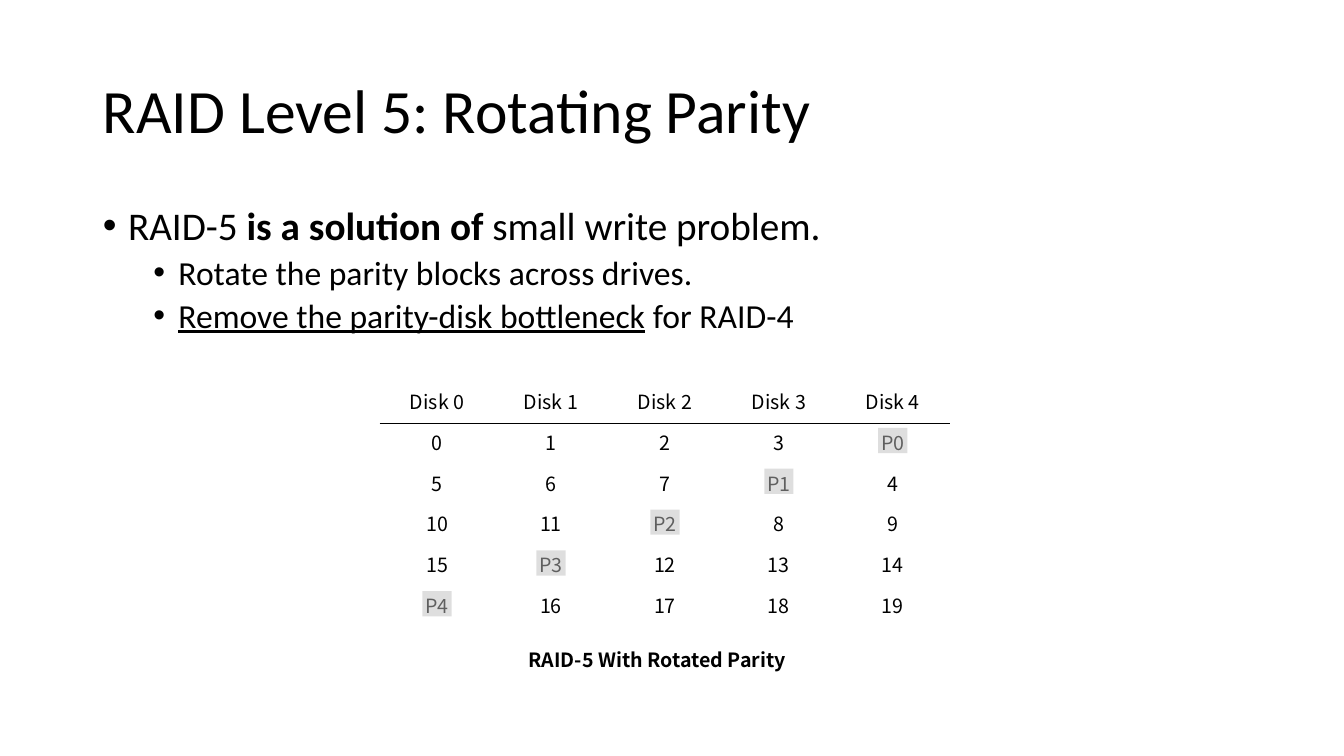
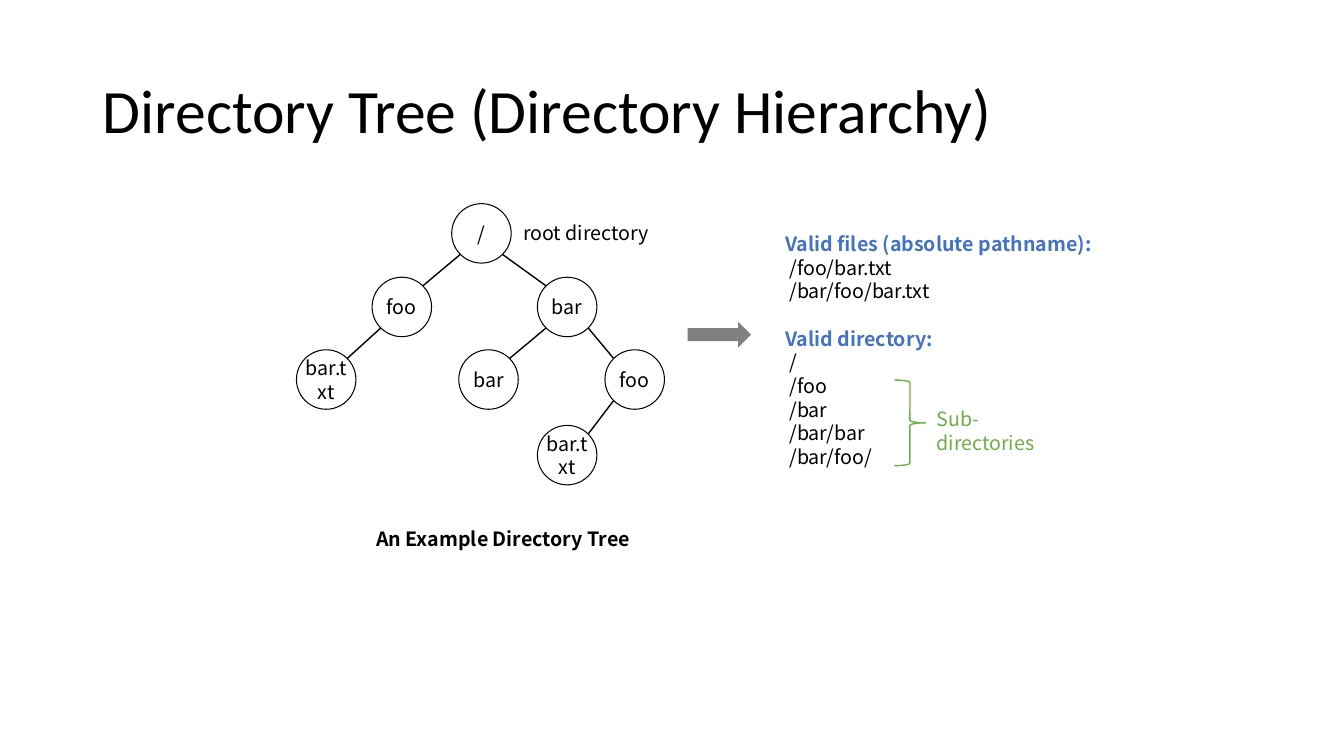
"""Build two lecture slides: rotating parity in RAID-5 and a directory tree."""
from dataclasses import dataclass

from lxml import etree
from pptx import Presentation
from pptx import util as u
from pptx.dml.color import RGBColor
from pptx.enum import shapes, text
from pptx.oxml.ns import qn


@dataclass(frozen=True)
class Theme:
    heading_font: str = "Calibri"
    label_font: str = "Noto Sans CJK KR"
    ink: str = "000000"
    paper: str = "FFFFFF"
    accent: str = "4472C4"
    subdir: str = "70AD47"
    arrow: str = "808080"
    parity: str = "BFBFBF"
    title_size: int = 44
    bullet_sizes: tuple = (28, 24)
    label_size: int = 14
    label_leading: float = 16.9


THEME = Theme()
WIDTH, HEIGHT = 13.33, 7.5
TITLE_AREA = (0.92, 0.4, 11.5, 1.45)
BODY_AREA = (0.92, 2, 11.5, 4.76)

RAID_TITLE = "RAID Level 5: Rotating Parity"
RAID_BULLETS = [
    (0, ["RAID-5 ", ("is a solution of", {"bold": True}), " small write problem."]),
    (1, ["Rotate the parity blocks across drives."]),
    (1, [("Remove the parity-disk bottleneck", {"underline": True}), " for RAID-4"]),
]
RAID_CAPTION = "RAID-5 With Rotated Parity"
STRIPES = [
    ["Disk 0", "Disk 1", "Disk 2", "Disk 3", "Disk 4"],
    ["0", "1", "2", "3", "P0"],
    ["5", "6", "7", "P1", "4"],
    ["10", "11", "P2", "8", "9"],
    ["15", "P3", "12", "13", "14"],
    ["P4", "16", "17", "18", "19"],
]
GRID_LEFT, GRID_TOP, COLUMN, ROW = 3.77, 3.8, 1.13, 0.405
PARITY_WIDTH, PARITY_HEIGHT, PARITY_DROP = 0.29, 0.25, 0.04

TREE_TITLE = "Directory Tree (Directory Hierarchy)"
TREE_CAPTION = "An Example Directory Tree"
NODE = 0.59
LEVEL_TOPS = [2.02, 2.75, 3.47, 4.22]
TREE = {
    "root": ("/", 4.48, 0, None),
    "foo": ("foo", 3.69, 1, "root"),
    "foo file": ("bar.txt", 2.94, 2, "foo"),
    "bar": ("bar", 5.33, 1, "root"),
    "bar foo": ("foo", 6, 2, "bar"),
    "bar bar": ("bar", 4.55, 2, "bar"),
    "bar foo file": ("bar.txt", 5.33, 3, "bar foo"),
}
LISTINGS = [
    ("Valid files (absolute pathname):", ["/foo/bar.txt", "/bar/foo/bar.txt"]),
    ("Valid directory:", ["/", "/foo", "/bar", "/bar/bar", "/bar/foo/"]),
]


def inches(*lengths):
    return [u.Inches(length) for length in lengths]


def colour(value):
    return RGBColor.from_string(value)


def write(paragraph, runs, font=THEME.label_font, size=THEME.label_size, color=THEME.ink,
          bold=False, align=text.PP_ALIGN.LEFT, leading=u.Pt(THEME.label_leading),
          before=0, indent=0, hanging=0, bullet=None):
    """Fill a paragraph with runs, each a string or a (string, format) pair."""
    paragraph.alignment, paragraph.line_spacing = align, leading
    paragraph.space_before = u.Pt(before)
    properties = paragraph._p.get_or_add_pPr()
    properties.set("marL", str(u.Inches(indent)))
    properties.set("indent", str(u.Inches(-hanging)))
    if bullet:
        etree.SubElement(properties, qn("a:buFont")).set("typeface", "Arial")
        etree.SubElement(properties, qn("a:buChar")).set("char", bullet)
    for part in [runs] if isinstance(runs, str) else runs:
        words, extra = (part, {}) if isinstance(part, str) else part
        run = paragraph.add_run()
        run.text = words
        run.font.name, run.font.size = font, u.Pt(size)
        run.font.color.rgb = colour(color)
        run.font.bold = extra.get("bold", bold)
        run.font.underline = extra.get("underline", False)


def next_paragraph(frame, index):
    return frame.add_paragraph() if index else frame.paragraphs[0]


def add_slide(deck, layout, title):
    slide = deck.slides.add_slide(deck.slide_layouts[layout])
    heading = slide.shapes.title
    place(heading, TITLE_AREA)
    heading.text_frame.vertical_anchor = text.MSO_ANCHOR.MIDDLE
    write(heading.text_frame.paragraphs[0], title, font=THEME.heading_font,
          size=THEME.title_size, leading=0.9)
    return slide


def place(placeholder, area):
    placeholder.left, placeholder.top, placeholder.width, placeholder.height = inches(*area)
    placeholder.text_frame.auto_size = text.MSO_AUTO_SIZE.NONE


def add_label(slide, area, lines):
    """Add a text box from (runs, format) lines."""
    frame = slide.shapes.add_textbox(*inches(*area)).text_frame
    frame.word_wrap = True
    frame.auto_size = text.MSO_AUTO_SIZE.SHAPE_TO_FIT_TEXT
    for index, (runs, style) in enumerate(lines):
        write(next_paragraph(frame, index), runs, **style)


def add_caption(slide, area, words):
    add_label(slide, area, [(words, {"bold": True, "align": text.PP_ALIGN.CENTER})])


def add_figure(slide, kind, area, fill=None, line=None, weight=0.75, alpha=None):
    figure = slide.shapes.add_shape(kind, *inches(*area))
    figure.shadow.inherit = False
    if fill:
        figure.fill.solid()
        figure.fill.fore_color.rgb = colour(fill)
    else:
        figure.fill.background()
    if line:
        figure.line.color.rgb, figure.line.width = colour(line), u.Pt(weight)
    else:
        figure.line.fill.background()
    if alpha:
        tint = figure.fill._xPr.find(".//" + qn("a:srgbClr"))
        etree.SubElement(tint, qn("a:alpha")).set("val", str(alpha * 1000))
    return figure


def add_rule(cell, side):
    """Draw a thin line on one side (lnT or lnB) of a table cell."""
    border = etree.Element(qn("a:" + side), w=str(u.Pt(0.75)))
    fill = etree.SubElement(border, qn("a:solidFill"))
    etree.SubElement(fill, qn("a:srgbClr")).set("val", THEME.ink)
    cell._tc.get_or_add_tcPr().insert(0, border)


def add_stripes(slide):
    rows, columns = len(STRIPES), len(STRIPES[0])
    table = slide.shapes.add_table(
        rows, columns, *inches(GRID_LEFT, GRID_TOP, COLUMN * columns, ROW * rows)).table
    table.first_row = table.horz_banding = False
    for column in table.columns:
        column.width = u.Inches(COLUMN)
    for r, blocks in enumerate(STRIPES):
        table.rows[r].height = u.Inches(ROW)
        for c, block in enumerate(blocks):
            cell = table.cell(r, c)
            cell.vertical_anchor = text.MSO_ANCHOR.MIDDLE
            write(cell.text_frame.paragraphs[0], block, align=text.PP_ALIGN.CENTER)
            if r == 0:
                cell.fill.solid()
                cell.fill.fore_color.rgb = colour(THEME.paper)
            else:
                cell.fill.background()
            if r < 2:
                add_rule(cell, "lnT" if r else "lnB")
            if block.startswith("P"):
                left = GRID_LEFT + (c + 0.5) * COLUMN - PARITY_WIDTH / 2
                top = GRID_TOP + r * ROW + PARITY_DROP
                add_figure(slide, shapes.MSO_SHAPE.RECTANGLE,
                           (left, top, PARITY_WIDTH, PARITY_HEIGHT),
                           fill=THEME.parity, alpha=50)


def add_branch(slide, parent, child):
    """Join two nodes at the diagonal points that face each other."""
    reach = NODE / 2 * 0.5 ** 0.5
    (_, start, upper, _), (_, end, lower, _) = TREE[parent], TREE[child]
    side = 1 if end > start else -1
    half = NODE / 2
    branch = slide.shapes.add_connector(
        shapes.MSO_CONNECTOR.STRAIGHT,
        *inches(start + half + side * reach, LEVEL_TOPS[upper] + half + reach,
                end + half - side * reach, LEVEL_TOPS[lower] + half - reach))
    branch.line.color.rgb, branch.line.width = colour(THEME.ink), u.Pt(1)
    etree.SubElement(branch._element.spPr, qn("a:effectLst"))


def add_tree(slide):
    for name, (label, left, level, parent) in TREE.items():
        node = add_figure(slide, shapes.MSO_SHAPE.OVAL, (left, LEVEL_TOPS[level], NODE, NODE),
                          fill=THEME.paper, line=THEME.ink)
        frame = node.text_frame
        frame.word_wrap = True
        frame.margin_left = frame.margin_right = 0
        frame.vertical_anchor = text.MSO_ANCHOR.MIDDLE
        write(frame.paragraphs[0], label, align=text.PP_ALIGN.CENTER)
        if parent:
            add_branch(slide, parent, name)


def raid_slide(deck):
    slide = add_slide(deck, 1, RAID_TITLE)
    body = slide.placeholders[1]
    place(body, BODY_AREA)
    for index, (level, runs) in enumerate(RAID_BULLETS):
        paragraph = next_paragraph(body.text_frame, index)
        paragraph.level = level
        write(paragraph, runs, font=THEME.heading_font, size=THEME.bullet_sizes[level],
              leading=0.9, before=5 if level else 10, indent=0.25 + 0.5 * level,
              hanging=0.25, bullet="•")
    add_caption(slide, (4.24, 6.38, 4.56, 0.34), RAID_CAPTION)
    add_stripes(slide)


def tree_slide(deck):
    slide = add_slide(deck, 5, TREE_TITLE)
    add_tree(slide)
    add_caption(slide, (3.18, 5.18, 3.62, 0.34), TREE_CAPTION)
    add_label(slide, (5.09, 2.14, 1.5, 0.34), [("root directory", {})])
    lines = []
    for heading, entries in LISTINGS:
        gap = THEME.label_leading if lines else 0
        lines.append((heading, {"color": THEME.accent, "bold": True, "before": gap}))
        lines += [(entry, {"indent": 0.04}) for entry in entries]
    add_label(slide, (7.69, 2.25, 3.39, 2.69), lines)
    add_figure(slide, shapes.MSO_SHAPE.RIGHT_ARROW, (6.82, 3.19, 0.63, 0.26), fill=THEME.arrow)
    add_figure(slide, shapes.MSO_SHAPE.RIGHT_BRACE, (8.87, 3.77, 0.31, 0.85),
               line=THEME.subdir, weight=1)
    add_label(slide, (9.19, 3.99, 1.57, 0.34), [("Sub-directories", {"color": THEME.subdir})])


def main():
    deck = Presentation()
    deck.slide_width, deck.slide_height = inches(WIDTH, HEIGHT)
    raid_slide(deck)
    tree_slide(deck)
    deck.save("out.pptx")


if __name__ == "__main__":
    main()
